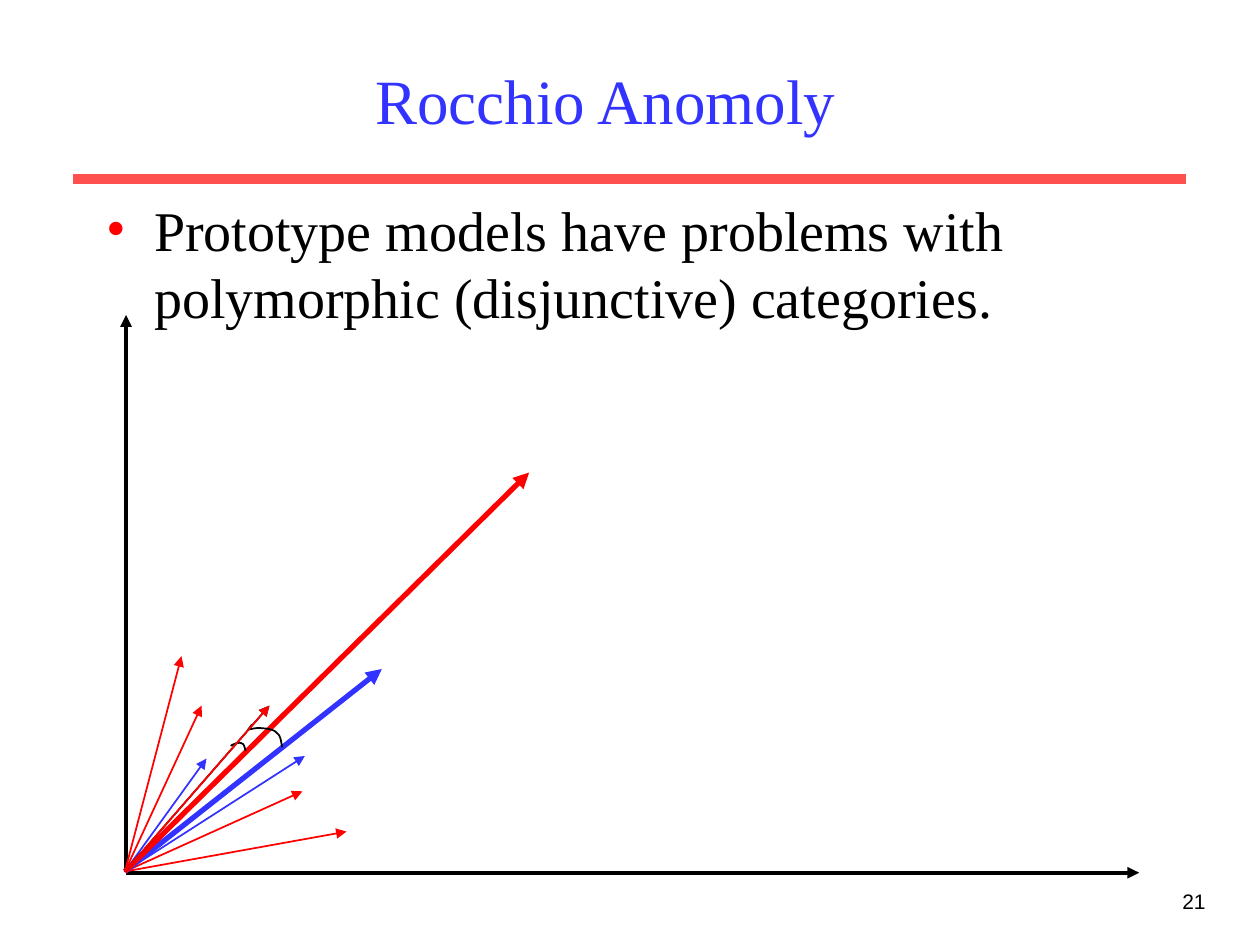
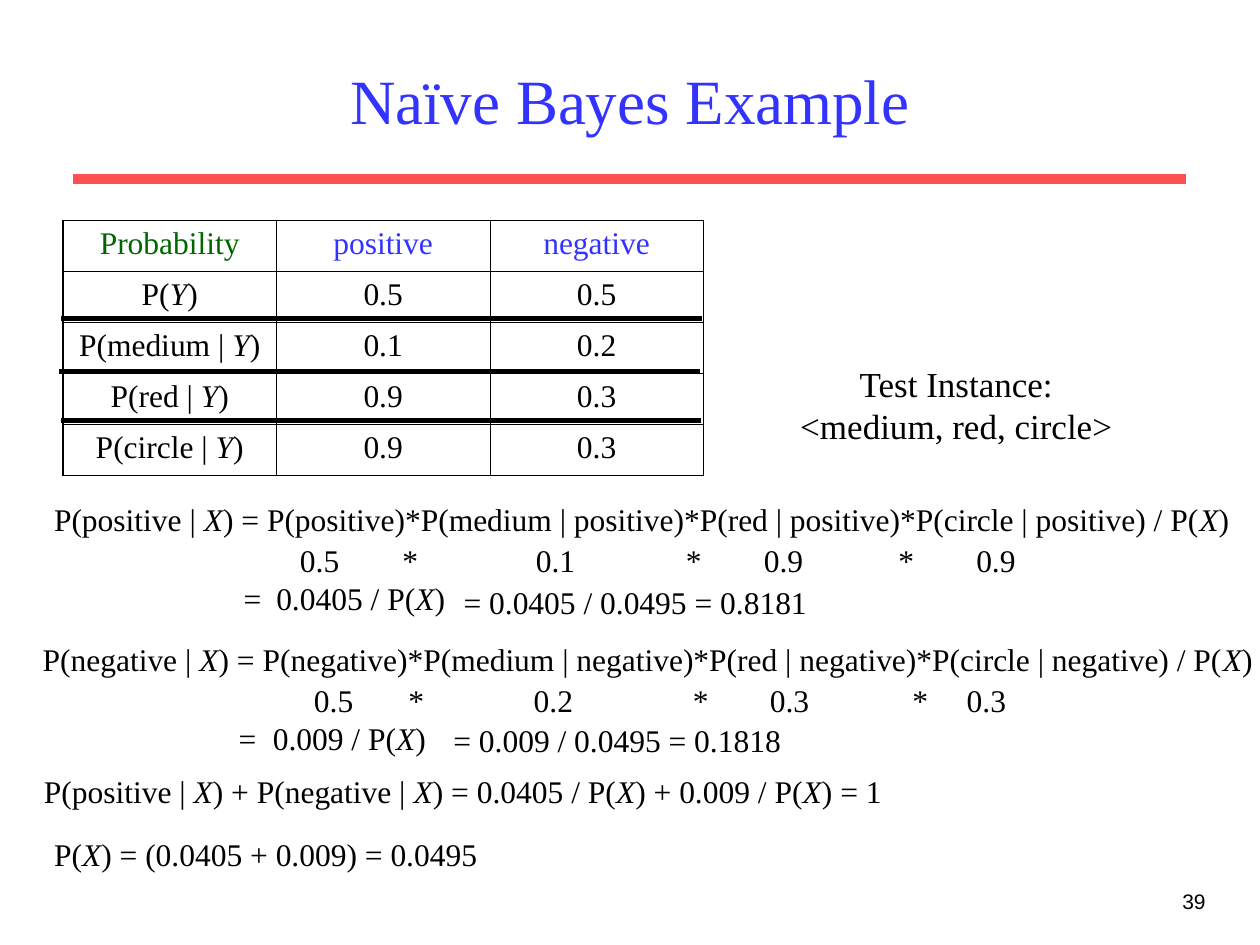
from pptx import Presentation
from pptx.dml.color import RGBColor
from pptx.enum.shapes import MSO_CONNECTOR
from pptx.enum.text import MSO_ANCHOR, PP_ALIGN
from pptx.oxml.ns import qn
from pptx.util import Pt
from lxml import etree

STRAIGHT = MSO_CONNECTOR.STRAIGHT
LEFT, CENTER, RIGHT = PP_ALIGN.LEFT, PP_ALIGN.CENTER, PP_ALIGN.RIGHT
TOP, MIDDLE = MSO_ANCHOR.TOP, MSO_ANCHOR.MIDDLE

SERIF, SANS = "Times New Roman", "Arial"
BLACK, BLUE, RED, GREEN, RULE = "000000", "3333FF", "FF0000", "006600", "FF5050"

ORIGIN = (71.4, 498)
THIN_VECTORS = [
    ((103.7, 375), RED), ((115.2, 403.2), RED), ((118, 433.5), BLUE),
    ((174.2, 432), BLUE), ((172.8, 452.2), RED), ((198, 475.2), RED),
]
PROTOTYPES = [((218.2, 382.3), BLUE), ((302.4, 270), RED)]
TEST_VECTOR = (154, 403.2)
# Each arc: start point, then cubic segments (two controls and an end).
SMALL_ARC = [(131.8, 426.2), [(134, 424.8), (136.8, 424), (138.2, 424.8)],
             [(139.7, 425.5), (139.7, 427), (140.4, 429.1)]]
LARGE_ARC = [(144, 414), [(143.3, 415), (142.6, 416), (141.8, 416.9)],
             [(142.6, 416.9), (147.6, 415.4), (149.8, 416.2)],
             [(152.6, 416.2), (157, 416.9), (158.4, 419)],
             [(160.6, 420.5), (160.6, 424), (161.3, 427)]]

PROBABILITIES = [
    ["Probability", "positive", "negative"],
    ["P(_Y_)", "0.5", "0.5"],
    ["P(medium | _Y_)", "0.1", "0.2"],
    ["P(red | _Y_)", "0.9", "0.3"],
    ["P(circle | _Y_)", "0.9", "0.3"],
]
HEADER_COLORS = [GREEN, BLUE, BLUE]


def color(hex_string):
    return RGBColor.from_string(hex_string)


def write(para, text, size, hex_color=BLACK, font=SERIF, align=LEFT):
    """Fill a paragraph; parts between underscores become italic."""
    para.alignment = align
    for index, part in enumerate(text.split("_")):
        if not part:
            continue
        span = para.add_run()
        span.text = part
        look = {"name": font, "size": Pt(size), "italic": index % 2 == 1}
        for name, value in look.items():
            setattr(span.font, name, value)
        span.font.color.rgb = color(hex_color)


def add_text(page, place, lines, size, anchor=TOP, **look):
    box = page.shapes.add_textbox(*map(Pt, place))
    frame = box.text_frame
    frame.word_wrap = True
    frame.vertical_anchor = anchor
    for index, line in enumerate(lines):
        para = frame.add_paragraph() if index else frame.paragraphs[0]
        write(para, line, size, **look)
    return box


def add_line(page, start, end, hex_color, width, arrow=False):
    line = page.shapes.add_connector(STRAIGHT, *map(Pt, (*start, *end)))
    line.line.color.rgb = color(hex_color)
    line.line.width = Pt(width)
    if arrow:
        etree.SubElement(line.line._get_or_add_ln(), qn("a:tailEnd"), type="triangle")
    etree.SubElement(line._element.spPr, qn("a:effectLst"))


def add_page(deck, title, number, title_shift=0):
    """Add a page with its title, rule and page number."""
    page = deck.slides.add_slide(deck.slide_layouts[6])
    add_line(page, (42, 102.2), (678, 102.2), RULE, 6)
    add_text(page, (546, 504, 150, 36), [number], 12, font=SANS, align=RIGHT)
    add_text(page, (54 + title_shift, 18, 612, 78), [title], 36,
             anchor=MIDDLE, hex_color=BLUE, align=CENTER)
    return page


def add_bullet(page, place, text):
    para = add_text(page, place, [text], 32).text_frame.paragraphs[0]
    properties = para._p.get_or_add_pPr()
    properties.set("marL", str(Pt(27)))
    properties.set("indent", str(Pt(-27)))
    mark_color = etree.SubElement(properties, qn("a:buClr"))
    etree.SubElement(mark_color, qn("a:srgbClr"), val=RED)
    etree.SubElement(properties, qn("a:buFont"), typeface=SERIF)
    etree.SubElement(properties, qn("a:buChar"), char="•")


def add_curve(page, start, segments, steps=8):
    """Draw joined cubic curves as one open outline."""
    points, here = [], start
    for first, second, end in segments:
        for step in range(1, steps + 1):
            t = step / steps
            weights = ((1 - t) ** 3, 3 * t * (1 - t) ** 2, 3 * t * t * (1 - t), t ** 3)
            corners = (here, first, second, end)
            points.append(tuple(Pt(sum(w * c[axis] for w, c in zip(weights, corners)))
                                for axis in (0, 1)))
        here = end
    builder = page.shapes.build_freeform(*map(Pt, start))
    builder.add_line_segments(points, close=False)
    curve = builder.convert_to_shape()
    curve.shadow.inherit = False
    curve.fill.background()
    curve.line.color.rgb = color(BLACK)
    curve.line.width = Pt(1)


def set_borders(cell, widths):
    properties = cell._tc.get_or_add_tcPr()
    for position, (side, width) in enumerate(widths.items()):
        line = etree.Element(qn(f"a:{side}"), w=str(Pt(width)))
        fill = etree.SubElement(line, qn("a:solidFill"))
        etree.SubElement(fill, qn("a:srgbClr"), val=BLACK)
        properties.insert(position, line)


def add_probability_table(page, left, top, column_width, row_height):
    rows, columns = len(PROBABILITIES), len(PROBABILITIES[0])
    table = page.shapes.add_table(rows, columns, Pt(left), Pt(top),
                                  Pt(column_width * columns), Pt(row_height * rows)).table
    table.first_row = table.horz_banding = False
    for column in table.columns:
        column.width = Pt(column_width)
    for r, values in enumerate(PROBABILITIES):
        table.rows[r].height = Pt(row_height)
        for c, value in enumerate(values):
            cell = table.cell(r, c)
            cell.fill.background()
            set_borders(cell, {"lnL": 0.45 if c else 1.08, "lnR": 0.45,
                               "lnT": 0.45, "lnB": 0.45})
            write(cell.text_frame.paragraphs[0], value, 18,
                  HEADER_COLORS[c] if r == 0 else BLACK, align=CENTER)


def set_tabs(para, stops):
    tabs = etree.SubElement(para._p.get_or_add_pPr(), qn("a:tabLst"))
    for stop in stops:
        etree.SubElement(tabs, qn("a:tab"), pos=str(Pt(stop)), algn="l")


def add_derivation(page, place, formula, factors, factor_stops, result, result_stops):
    """Write a formula, its factors lined up below, and the result."""
    lines = [formula, "\t" + "\t*\t".join(factors), f"\t=\t{result}"]
    box = add_text(page, place, lines, 18)
    _, factor_line, result_line = box.text_frame.paragraphs
    set_tabs(factor_line, factor_stops)
    set_tabs(result_line, result_stops)
    factor_line.space_before = Pt(2)


def add_anomaly_page(deck):
    page = add_page(deck, "Rocchio Anomoly", "21", title_shift=-14)
    add_bullet(page, (54, 108, 612, 369),
               "Prototype models have problems with polymorphic (disjunctive) categories.")
    add_line(page, (72, 498.5), (72, 180), BLACK, 2.25, arrow=True)
    add_line(page, (72, 498.7), (651, 498.7), BLACK, 2.25, arrow=True)
    for vectors, width in ((THIN_VECTORS, 1), (PROTOTYPES, 3)):
        for tip, hex_color in vectors:
            add_line(page, ORIGIN, tip, hex_color, width, arrow=True)
    add_line(page, ORIGIN, TEST_VECTOR, BLACK, 1, arrow=True)
    for start, *segments in (SMALL_ARC, LARGE_ARC):
        add_curve(page, start, segments)
    add_line(page, ORIGIN, TEST_VECTOR, RED, 1, arrow=True)


def add_bayes_page(deck):
    page = add_page(deck, "Naïve Bayes Example", "39")
    add_probability_table(page, 36, 126, 122, 29.1)
    for left, y in ((35, 182.2), (34, 212.4), (34.7, 240.5)):
        add_line(page, (left, y), (left + 366, y), BLACK, 3)
    add_derivation(
        page, (23.8, 282.2, 692, 75),
        "P(positive | _X_) = P(positive)*P(medium | positive)*P(red | positive)"
        "*P(circle | positive) / P(_X_)",
        ["0.5", "0.1", "0.9", "0.9"], [140.5, 199, 275.3, 361, 405.6, 482.5, 527],
        "0.0405 / P(_X_)", [108.4, 127])
    add_derivation(
        page, (17.3, 362, 708, 75),
        "P(negative | _X_) = P(negative)*P(medium | negative)*P(red | negative)"
        "*P(circle | negative) / P(_X_)",
        ["0.5", "0.2", "0.3", "0.3"], [155, 209, 280.6, 371.5, 415.5, 497, 528],
        "0.009 / P(_X_)", [112, 131.5])
    for place, text in (
        ((18, 437.8, 510, 29), "P(positive | _X_) + P(negative | _X_) = "
                               "0.0405 / P(_X_) + 0.009 / P(_X_) = 1"),
        ((23.8, 473.8, 270, 29), "P(_X_) = (0.0405 + 0.009) = 0.0495"),
        ((257.8, 329.8, 220, 29), "= 0.0405 / 0.0495 = 0.8181"),
        ((252, 408.2, 210, 29), "= 0.009 / 0.0495 = 0.1818"),
    ):
        add_text(page, place, [text], 18)
    add_text(page, (447, 203.8, 199, 55),
             ["Test Instance:", "<medium, red, circle>"], 20, align=CENTER)


def main():
    deck = Presentation()
    deck.slide_width, deck.slide_height = Pt(720), Pt(540)
    add_anomaly_page(deck)
    add_bayes_page(deck)
    deck.save("out.pptx")


if __name__ == "__main__":
    main()
